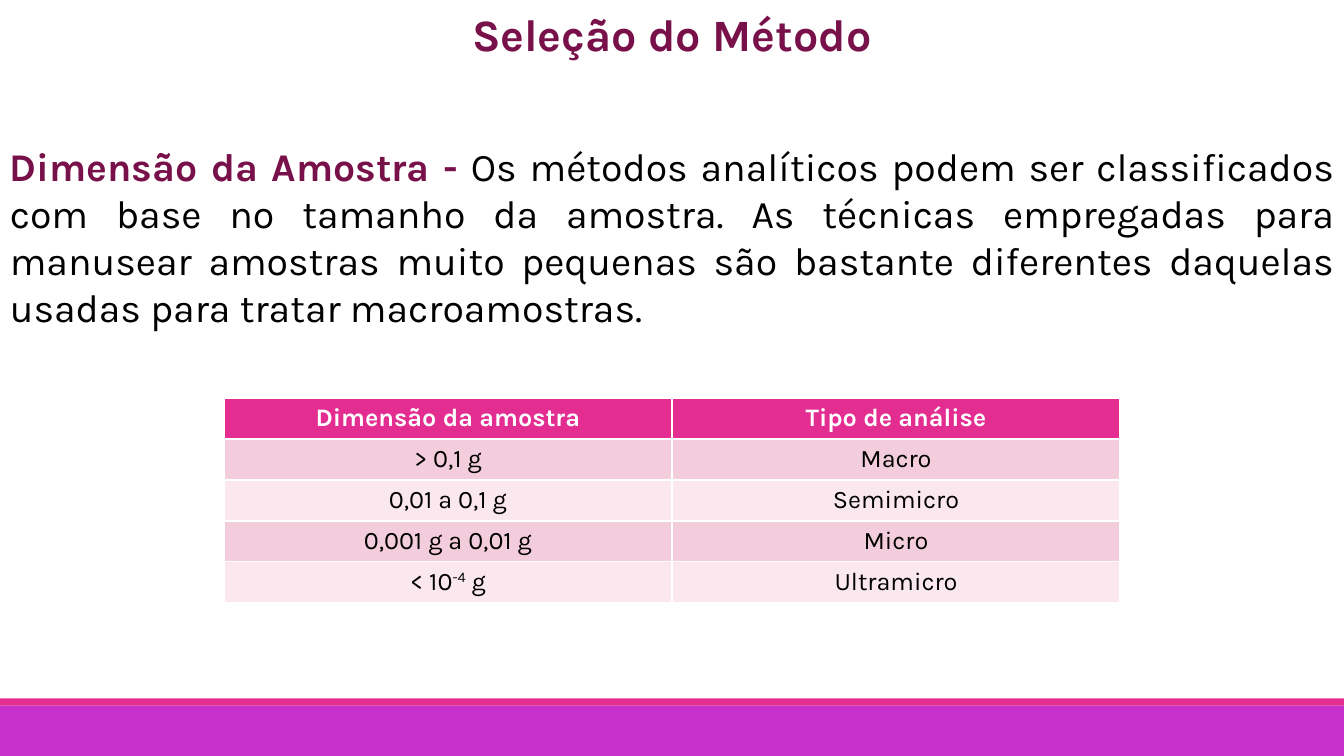
from pptx import Presentation
from pptx import util as u
from pptx.dml.color import RGBColor
from pptx.enum import shapes, text

PINK, PLUM, BLACK, WHITE = "E32D91", "781049", "000000", "FFFFFF"
BANDS = ["F4CDDC", "FAE8EE"]
ROWS = [
    ("Dimensão da amostra", "Tipo de análise"),
    ("> 0,1 g", "Macro"),
    ("0,01 a 0,1 g", "Semimicro"),
    ("0,001 g a 0,01 g", "Micro"),
    (("< 10", "-4", " g"), "Ultramicro"),
]


def paint(fmt, hue):
    fmt.solid()
    fmt.fore_color.rgb = RGBColor.from_string(hue)


class Deck:
    """Draws styled elements on one slide, placed by shares of its size."""

    font = "Karla"

    def __init__(self, wide, high):
        self.prs = Presentation()
        self.prs.slide_width = u.Inches(wide)
        self.prs.slide_height = u.Inches(high)
        self.slide = self.prs.slides.add_slide(self.prs.slide_layouts[6])

    def place(self, x, y, w, h):
        wide, high = self.prs.slide_width, self.prs.slide_height
        return [u.Emu(round(n)) for n in (x * wide, y * high, w * wide, h * high)]

    def style(self, run, size, hue, bold=False):
        run.font.name = self.font
        run.font.size = u.Pt(size)
        run.font.bold = bold
        paint(run.font.fill, hue)

    def bar(self, y, h, hue):
        bar = self.slide.shapes.add_shape(
            shapes.MSO_SHAPE.RECTANGLE, *self.place(0, y, 1, h))
        bar.shadow.inherit = False
        paint(bar.fill, hue)
        bar.line.fill.background()

    def words(self, y, h, size, align, parts):
        box = self.slide.shapes.add_textbox(*self.place(0, y, 1, h))
        box.text_frame.word_wrap = True
        para = box.text_frame.paragraphs[0]
        para.alignment = align
        for part, hue, bold in parts:
            run = para.add_run()
            run.text = part
            self.style(run, size, hue, bold)

    def cell(self, cell, value, fill, hue, bold):
        paint(cell.fill, fill)
        para = cell.text_frame.paragraphs[0]
        para.alignment = text.PP_ALIGN.CENTER
        parts = (value,) if isinstance(value, str) else value
        for i, part in enumerate(parts):
            run = para.add_run()
            run.text = part
            self.style(run, 18, hue, bold)
            if i == 1:
                run.font._element.set("baseline", "30000")

    def table(self, x, y, w, h, rows):
        frame = self.slide.shapes.add_table(
            len(rows), len(rows[0]), *self.place(x, y, w, h))
        for r, row in enumerate(rows):
            head = r == 0
            fill = PINK if head else BANDS[(r - 1) % 2]
            for c, value in enumerate(row):
                self.cell(frame.table.cell(r, c), value, fill,
                          WHITE if head else BLACK, head)


def main():
    deck = Deck(13.33, 7.5)
    deck.bar(7 / 7.5, 0.5 / 7.5, "C830CC")
    deck.bar(6.93 / 7.5, 0.07 / 7.5, PINK)
    deck.words(0.02 / 7.5, 0.64 / 7.5, 32, text.PP_ALIGN.CENTER,
               [("Seleção do Método", PLUM, True)])
    deck.words(1.36 / 7.5, 1.99 / 7.5, 28, text.PP_ALIGN.JUSTIFY, [
        ("Dimensão da Amostra -", PLUM, True),
        (" Os métodos analíticos podem ser classificados com base no tamanho "
         "da amostra. As técnicas empregadas para manusear amostras muito "
         "pequenas são bastante diferentes daquelas usadas para tratar "
         "macroamostras.", BLACK, False),
    ])
    deck.table(1 / 6, 3.95 / 7.5, 2 / 3, 2.03 / 7.5, ROWS)
    deck.prs.save("out.pptx")


if __name__ == "__main__":
    main()
